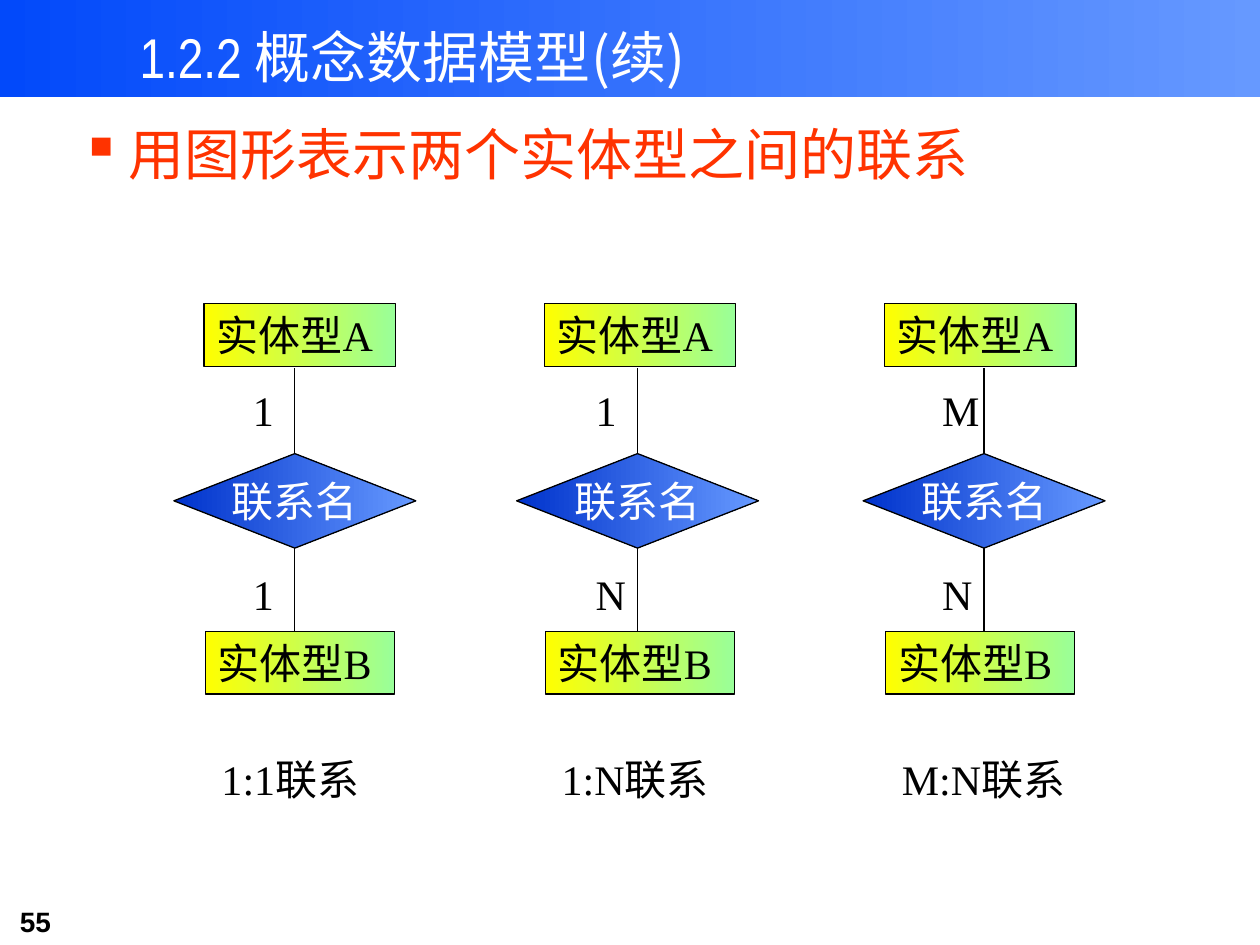
import pptx
import pptx.util
import pptx.dml.color
import pptx.enum.shapes
import pptx.enum.text
import pptx.oxml.ns
from lxml import etree

RGB = pptx.dml.color.RGBColor
KIND = pptx.enum.shapes.MSO_SHAPE
ALIGN = pptx.enum.text.PP_ALIGN
ANCHOR = pptx.enum.text.MSO_ANCHOR
qn = pptx.oxml.ns.qn

BLACK = RGB(0x00, 0x00, 0x00)
WHITE = RGB(0xFF, 0xFF, 0xFF)
RED = RGB(0xFF, 0x33, 0x00)
BAND = RGB(0x02, 0x49, 0xFA)
NAVY = RGB(0x00, 0x33, 0xCC)
SKY = RGB(0x66, 0x99, 0xFF)
YELLOW = RGB(0xFF, 0xFF, 0x00)
MINT = RGB(0x99, 0xFF, 0x99)

SERIF = "Times New Roman"
CJK = "Noto Sans CJK SC"
WIDE = pptx.util.Inches(10)
HIGH = pptx.util.Inches(7.5)
COLS, ROWS = 100, 75


def grid(x, y, *size):
    """Turn grid columns and rows into slide lengths."""
    units = (WIDE / COLS, HIGH / ROWS) * 2
    return [pptx.util.Emu(round(n * u)) for n, u in zip((x, y, *size), units)]


def write(shape, *runs, size=24, color=BLACK, font=SERIF, bold=False,
          align=ALIGN.LEFT, anchor=ANCHOR.TOP, wrap=True, space=None, mark=None):
    """Fill a shape with one paragraph of runs, each a text or (text, font)."""
    frame = shape.text_frame
    frame.word_wrap = wrap
    frame.vertical_anchor = anchor
    para = frame.paragraphs[0]
    para.alignment = align
    if space:
        para.line_spacing = space
    if mark:
        props = para._p.get_or_add_pPr()
        dent = pptx.util.Inches(0.38)
        props.set("marL", str(dent))
        props.set("indent", str(-dent))
        tint = etree.SubElement(props, qn("a:buClr"))
        etree.SubElement(tint, qn("a:srgbClr"), val=str(color))
        etree.SubElement(props, qn("a:buChar"), char=mark)
    for item in runs:
        words, face = (item, font) if isinstance(item, str) else item
        run = para.add_run()
        run.text = words
        run.font.name = face
        run.font.size = pptx.util.Pt(size)
        run.font.bold = bold
        run.font.color.rgb = color
        etree.SubElement(run._r.get_or_add_rPr(), qn("a:ea"), typeface=CJK)


def label(slide, box, *runs, **style):
    """Add a text box at a grid box."""
    write(slide.shapes.add_textbox(*grid(*box)), *runs, **style)


def block(slide, kind, box, start, end, edge=True):
    """Add a shape with a left-to-right gradient."""
    shape = slide.shapes.add_shape(kind, *grid(*box))
    shape.shadow.inherit = False
    shape.fill.gradient()
    shape.fill.gradient_angle = 0
    for stop, color in zip(shape.fill.gradient_stops, (start, end)):
        stop.color.rgb = color
    if edge:
        shape.line.color.rgb = BLACK
        shape.line.width = pptx.util.Pt(0.75)
    else:
        shape.line.fill.background()
    return shape


def link(slide, shape, site, x, y):
    """Join a site of a shape to a grid point by a line."""
    line = slide.shapes.add_connector(
        pptx.enum.shapes.MSO_CONNECTOR.STRAIGHT, *grid(x, y), *grid(x, y))
    line.begin_connect(shape, site)
    line.line.color.rgb = BLACK
    line.line.width = pptx.util.Pt(0.75)
    etree.SubElement(line._element.spPr, qn("a:effectLst"))


def header(slide, box):
    """Draw the title band."""
    x, y, w, h = box
    block(slide, KIND.RECTANGLE, box, BAND, SKY, edge=False)
    label(slide, (x + 10.1, y - 1.4, 66.7, h + 1.3),
          ("1.2.2 ", "Arial Narrow"), ("概念数据模型(续)", CJK),
          size=32, color=WHITE, space=1.5)


def chain(slide, box, axis, top, low):
    """Draw two entities joined through a relation, with a caption."""
    x, y, w, h = box
    mid = x + axis
    foot = y + 26
    rhomb = block(slide, KIND.FLOWCHART_DECISION,
                  (mid - 9.6, y + 11.9, 19.2, 7.5), NAVY, SKY)
    write(rhomb, "联系名", color=WHITE, align=ALIGN.CENTER,
          anchor=ANCHOR.MIDDLE, wrap=False)
    ends = (("A", y, w, 0, y + 5.1, y + 5.9, top),
            ("B", foot, w - 0.2, 2, foot, y + 20.5, low))
    for name, row, width, site, tip, level, count in ends:
        entity = block(slide, KIND.RECTANGLE, (x + (w - width) / 2, row, width, 5),
                       YELLOW, MINT)
        write(entity, "实体型" + name, wrap=False)
        link(slide, rhomb, site, mid, tip)
        label(slide, (mid - 4.3, level, 5, 5), count)
    label(slide, (x + 0.4, y + h - 5, 16, 5), f"{top}:{low}联系")


def main():
    """Build the slide and save it."""
    deck = pptx.Presentation()
    deck.slide_width, deck.slide_height = WIDE, HIGH
    slide = deck.slides.add_slide(deck.slide_layouts[6])
    header(slide, (0, 0, COLS, 7.7))
    label(slide, (5.4, 9, 77.9, 6.8), "用图形表示两个实体型之间的联系",
          size=32, color=RED, mark="▪")
    kinds = ((7.2, "1", "1"), (7.4, "1", "N"), (7.9, "M", "N"))
    for i, kind in enumerate(kinds):
        chain(slide, (16.2 + 27 * i, 24.1, 15.2, 40.2), *kind)
    label(slide, (0.6, 71.3, 12.2, 3.7), "55", size=16, font="Arial", bold=True)
    deck.save("out.pptx")


if __name__ == "__main__":
    main()
